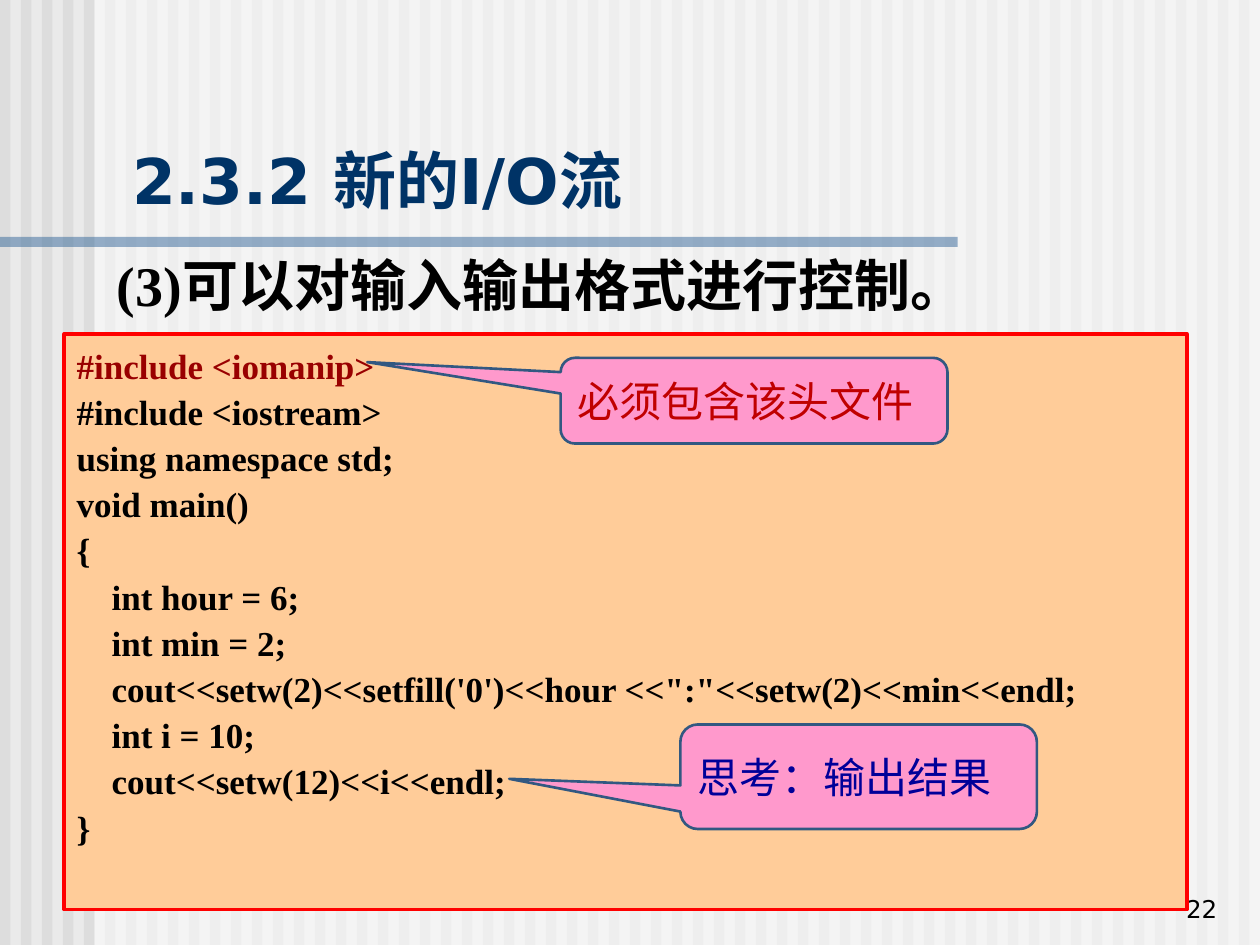
from lxml import etree
from pptx import Presentation
from pptx import util as u
from pptx.dml import color
from pptx.enum import shapes, text
from pptx.oxml import ns

# The page is a grid of 100 columns by 75 rows of square cells.
CELL = u.Inches(0.1)
COLUMNS, ROWS = 100, 75
STRIPES = 60
CODE = """#include <iomanip>
#include <iostream>
using namespace std;
void main()
{
    int hour = 6;
    int min = 2;
    cout<<setw(2)<<setfill('0')<<hour <<":"<<setw(2)<<min<<endl;
    int i = 10;
    cout<<setw(12)<<i<<endl;
}""".splitlines()


def rgb(value):
    return color.RGBColor.from_string(value)


def place(area):
    """Turn left, top, width and height in cells into lengths."""
    return [round(cells * CELL) for cells in area]


def add_panel(page, area, fill, line=None, line_width=1.5, alpha=None,
              kind=shapes.MSO_SHAPE.RECTANGLE):
    panel = page.shapes.add_shape(kind, *place(area))
    panel.shadow.inherit = False
    panel.fill.solid()
    panel.fill.fore_color.rgb = rgb(fill)
    if alpha is not None:
        swatch = panel.fill._xPr.find(".//" + ns.qn("a:srgbClr"))
        etree.SubElement(swatch, ns.qn("a:alpha"), val=str(alpha * 1000))
    if line:
        panel.line.color.rgb = rgb(line)
        panel.line.width = u.Pt(line_width)
    else:
        panel.line.fill.background()
    return panel


def add_text_box(page, area):
    return page.shapes.add_textbox(*place(area))


def set_anchor(box, anchor):
    box.text_frame.word_wrap = True
    box.text_frame.vertical_anchor = anchor


def write(para, words, size, ink, font, bold=False):
    span = para.add_run()
    span.text = words
    span.font.size = u.Pt(size)
    span.font.color.rgb = rgb(ink)
    span.font.name = font
    span.font.bold = bold


def format_para(para, align=text.PP_ALIGN.LEFT, spacing=1.0, hanging=0):
    """Set alignment, line spacing and a hanging indent given in cells."""
    para.alignment = align
    para.line_spacing = spacing
    if hanging:
        indent = round(hanging * CELL)
        properties = para._p.get_or_add_pPr()
        properties.set("marL", str(indent))
        properties.set("indent", str(-indent))


def add_background(page):
    page.background.fill.solid()
    page.background.fill.fore_color.rgb = rgb("EAEAEA")
    pitch = COLUMNS / STRIPES
    for stripe in range(STRIPES):
        add_panel(page, (stripe * pitch, 0, pitch / 2, ROWS), "DDDDDD")
    add_panel(page, (7.5, 0, 92.5, ROWS), "FFFFFF", alpha=50)
    add_panel(page, (0, 18.8, 76, 0.8), "336699", alpha=50)


def add_heading(page):
    title = add_text_box(page, (9.5, 10.7, 89.3, 7))
    set_anchor(title, text.MSO_ANCHOR.BOTTOM)
    write(title.text_frame.paragraphs[0], "2.3.2 新的I/O流", 36, "003366",
          "DejaVu Sans", bold=True)

    body = add_text_box(page, (8.3, 20, 88.7, 50.6))
    set_anchor(body, text.MSO_ANCHOR.TOP)
    para = body.text_frame.paragraphs[0]
    format_para(para, spacing=0.9, hanging=3.8)
    for words, font in (("(3)", "Times New Roman"),
                        ("可以对输入输出格式进行控制。", "DejaVu Sans")):
        write(para, words, 32, "000000", font, bold=True)


def add_page_number(page, number):
    box = add_text_box(page, (76.8, 68.8, 20.8, 5))
    set_anchor(box, text.MSO_ANCHOR.BOTTOM)
    para = box.text_frame.paragraphs[0]
    format_para(para, align=text.PP_ALIGN.RIGHT)
    write(para, number, 14, "000000", "DejaVu Sans")


def add_code(page):
    panel = add_panel(page, (5.1, 26.5, 89.1, 45.7), "FFCC99",
                      line="FF0000", line_width=2)
    set_anchor(panel, text.MSO_ANCHOR.TOP)
    frame = panel.text_frame
    for index, line in enumerate(CODE):
        para = frame.add_paragraph() if index else frame.paragraphs[0]
        format_para(para, spacing=1.1, hanging=5)
        write(para, line, 20, "000000" if index else "990000",
              "Times New Roman", bold=True)


def add_callout(page, area, words, ink, tip):
    """Add a balloon whose tip is given as shares of its size from its centre."""
    balloon = add_panel(page, area, "FF99CC", line="325881",
                        kind=shapes.MSO_SHAPE.ROUNDED_RECTANGULAR_CALLOUT)
    balloon.adjustments[0], balloon.adjustments[1] = tip
    set_anchor(balloon, text.MSO_ANCHOR.MIDDLE)
    para = balloon.text_frame.paragraphs[0]
    format_para(para, hanging=3.8)
    write(para, words, 24, ink, "Arial")


def main():
    deck = Presentation()
    deck.slide_width, deck.slide_height = COLUMNS * CELL, ROWS * CELL
    page = deck.slides.add_slide(deck.slide_layouts[6])
    add_background(page)
    add_page_number(page, "22")
    add_heading(page)
    add_code(page)
    add_callout(page, (54, 57.5, 28.3, 8.3), "思考：输出结果", "000099",
                tip=(-0.98, 0.02))
    add_callout(page, (44.5, 28.4, 30.7, 6.8), "必须包含该头文件", "C00000",
                tip=(-1, -0.45))
    deck.save("out.pptx")


if __name__ == "__main__":
    main()
